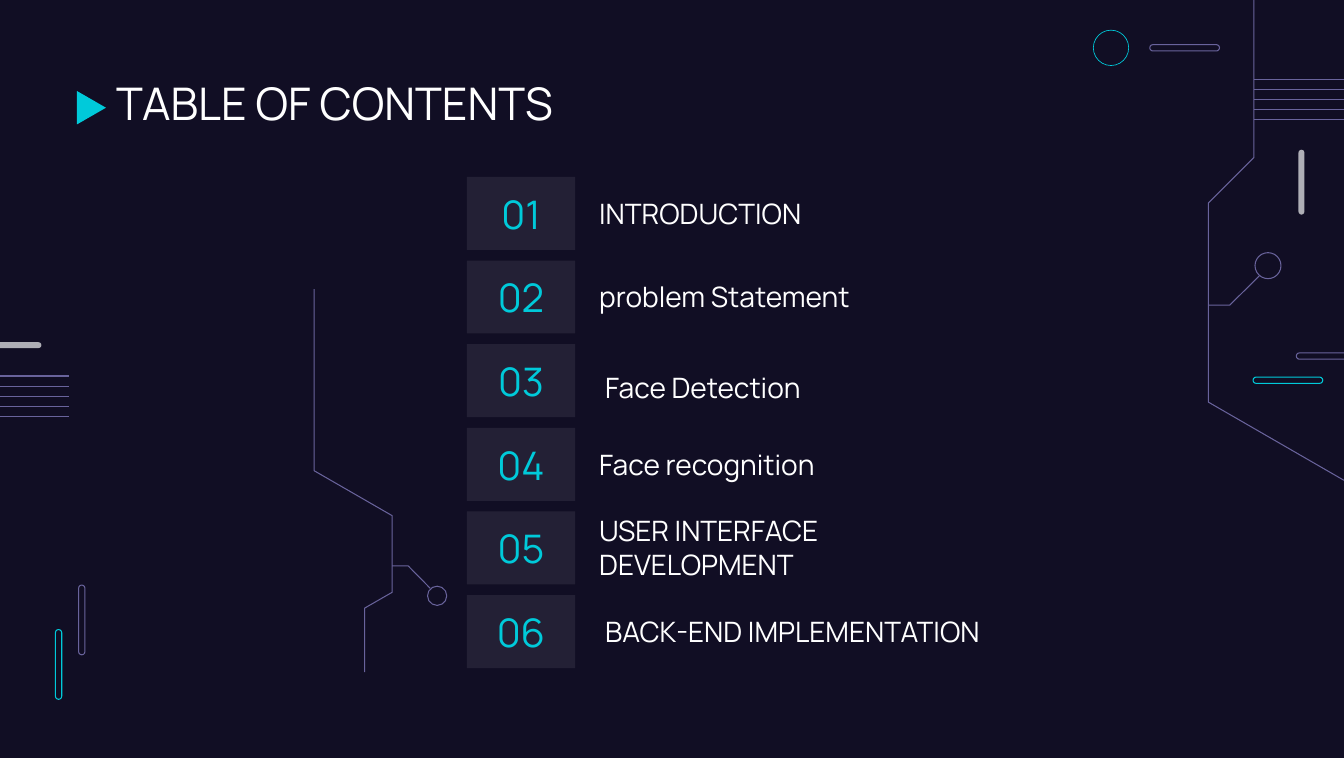
from lxml import etree
from pptx import Presentation
from pptx.dml.color import RGBColor
from pptx.enum import shapes, text
from pptx.oxml import ns
from pptx.util import Pt

NIGHT = RGBColor(0x11, 0x0E, 0x24)
WHITE = RGBColor(0xFF, 0xFF, 0xFF)
CYAN = RGBColor(0x00, 0xCA, 0xDA)
PURPLE = RGBColor(0x69, 0x63, 0x9C)
GREY = RGBColor(0xAF, 0xAF, 0xB6)
SLIDE_W, SLIDE_H = 957.6, 540
FONT = "Manrope"

# Content: label, shift right, shift down, label width
TITLE = "TABLE OF CONTENTS"
TOPICS = [
    ("INTRODUCTION", 0, 0, 284.4),
    ("problem Statement", 0, 0, 284.4),
    ("Face Detection", 4.3, 5.4, 219.6),
    ("Face recognition", 0, 0, 284.4),
    ("USER INTERFACE DEVELOPMENT", 0, 0, 284.4),
    ("BACK-END IMPLEMENTATION", 4.3, 0, 284.4),
]
ROW_TOP, ROW_PITCH = 126, 59.6
NUMBER_LEFT, NUMBER_W, NUMBER_H = 332.6, 77.2, 52
LABEL_LEFT, LABEL_H = 419.8, 51.2

# Circuit decoration: left, top, width, height, fill, line, line width
PILL_LONG, PILL_THIN = 49.7, 4.5
BAR_LONG, BAR_THIN = 46.2, 4.2
PILLS = [
    (39.5, 448.5, PILL_THIN, PILL_LONG, None, CYAN),
    (56, 416.8, PILL_THIN, PILL_LONG, None, PURPLE),
    (892.8, 268.6, PILL_LONG, PILL_THIN, None, CYAN),
    (923.6, 251.4, PILL_LONG, PILL_THIN, None, PURPLE),
    (819.2, 31.8, PILL_LONG, PILL_THIN, None, PURPLE),
    (925.2, 106.7, BAR_THIN, BAR_LONG, GREY, None),
    (-16.7, 243.8, BAR_LONG, BAR_THIN, GREY, None),
]
CIRCLES = [  # left, top, diameter, line, line width
    (779, 21.5, 25.2, CYAN, 0.47),
    (894.2, 180, 18.5, PURPLE, 0.75),
    (304.6, 417.6, 13.7, PURPLE, 0.75),
]
TRACES = [
    [(897.2, 196.6), (876.2, 217.4), (861, 217.4)],
    [(SLIDE_W, 342.2), (861, 286.5), (861, 144.7), (893.5, 112.2), (893.5, 0)],
    [(306.6, 419.2), (290.9, 403.2), (279.4, 403.2)],
    [(223.9, 206), (223.9, 335.4), (279.4, 367.4), (279.4, 422),
     (259.8, 433.3), (259.8, 478.8)],
]
STRIPES = [(893.2, SLIDE_W, 56.7), (0, 49.4, 267.9)]  # from x, to x, first y
STRIPE_COUNT, STRIPE_GAP = 5, 7.15


def points(*lengths):
    return [Pt(length) for length in lengths]


def paint(part, fill=None, line=None, width=0.75):
    part.shadow.inherit = False
    if fill is None:
        part.fill.background()
    else:
        part.fill.solid()
        part.fill.fore_color.rgb = fill
    if line is None:
        part.line.fill.background()
    else:
        part.line.color.rgb = line
        part.line.width = Pt(width)


def write(part, words, size, color, align, anchor):
    frame = part.text_frame
    frame.text = words
    frame_format = {"word_wrap": True, "auto_size": text.MSO_AUTO_SIZE.NONE,
                    "vertical_anchor": anchor}
    for side in ("left", "right", "top", "bottom"):
        frame_format["margin_" + side] = Pt(7.2)
    for key, value in frame_format.items():
        setattr(frame, key, value)
    paragraph = frame.paragraphs[0]
    paragraph.alignment = align
    for key, value in {"name": FONT, "size": Pt(size), "bold": False}.items():
        setattr(paragraph.font, key, value)
    paragraph.font.color.rgb = color


prs = Presentation()
prs.slide_width, prs.slide_height = points(SLIDE_W, SLIDE_H)
slide = prs.slides.add_slide(prs.slide_layouts[5])
slide.background.fill.solid()
slide.background.fill.fore_color.rgb = NIGHT
canvas = slide.shapes
KIND = shapes.MSO_SHAPE
ALIGN, ANCHOR = text.PP_ALIGN, text.MSO_ANCHOR

# Pills and circles
for left, top, width, height, fill, line in PILLS:
    pill = canvas.add_shape(KIND.ROUNDED_RECTANGLE, *points(left, top, width, height))
    pill.adjustments[0] = 0.5
    paint(pill, fill, line)
for left, top, diameter, line, width in CIRCLES:
    circle = canvas.add_shape(KIND.OVAL, *points(left, top, diameter, diameter))
    paint(circle, None, line, width)

# Circuit traces
for start, *bends in TRACES:
    builder = canvas.build_freeform(*points(*start), scale=1.0)
    builder.add_line_segments([points(*bend) for bend in bends], close=False)
    paint(builder.convert_to_shape(), None, PURPLE)

# Stripes at both edges
for x1, x2, first_y in STRIPES:
    for i in range(STRIPE_COUNT):
        y = first_y + i * STRIPE_GAP
        stripe = canvas.add_connector(shapes.MSO_CONNECTOR.STRAIGHT, *points(x1, y, x2, y))
        stripe.line.color.rgb = PURPLE
        stripe.line.width = Pt(0.75)
        etree.SubElement(stripe.element.spPr, ns.qn("a:effectLst"))

# Title with its marker
marker = canvas.add_shape(KIND.FLOWCHART_MERGE, *points(53.3, 66.4, 23.8, 20.7))
marker.rotation = 270
paint(marker, CYAN)
title = canvas.title
title.left, title.top, title.width, title.height = points(75.6, 46.8, 807.1, 60.5)
write(title, TITLE, 32, WHITE, ALIGN.LEFT, ANCHOR.TOP)

# Numbered topics
for row, (topic, right, down, width) in enumerate(TOPICS):
    top = ROW_TOP + row * ROW_PITCH
    number = canvas.add_shape(KIND.RECTANGLE, *points(NUMBER_LEFT, top, NUMBER_W, NUMBER_H))
    paint(number, WHITE)
    tint = number.element.spPr.find(ns.qn("a:solidFill"))[0]
    etree.SubElement(tint, ns.qn("a:alpha"), val="8000")
    write(number, f"{row + 1:02d}", 28, CYAN, ALIGN.CENTER, ANCHOR.MIDDLE)
    label = canvas.add_textbox(*points(LABEL_LEFT + right, top + down, width, LABEL_H))
    write(label, topic, 20, WHITE, ALIGN.LEFT, ANCHOR.MIDDLE)

prs.save("out.pptx")
